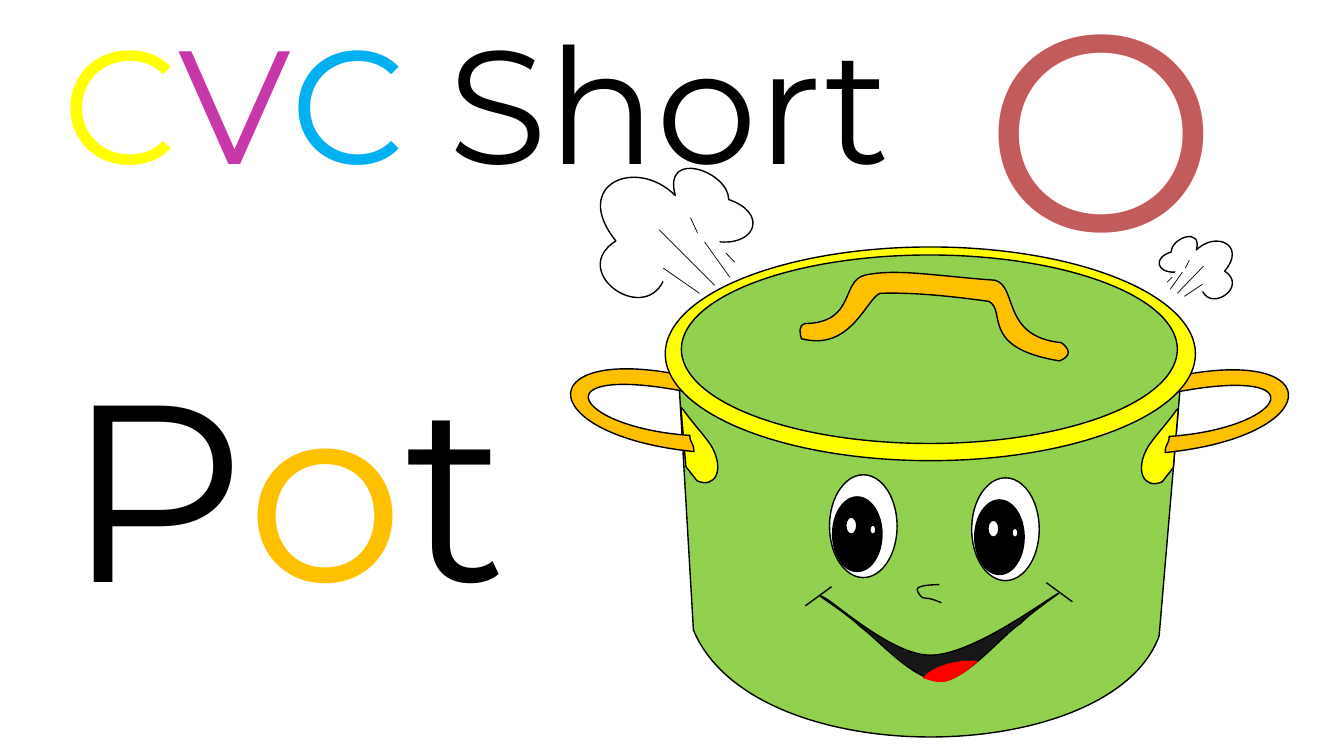
from lxml import etree
from pptx import Presentation
from pptx.dml.color import RGBColor
from pptx.enum import shapes as kinds, text as modes
from pptx.oxml.ns import qn
from pptx.util import Pt

THEME = {
    "white": "FFFFFF", "black": "000000", "green": "92D050", "yellow": "FFFF00",
    "gold": "FFC000", "purple": "C638A8", "blue": "00B0F0", "rose": "C25B5C",
    "mouth": "181717", "red": "FF0000",
    "font": "Montserrat", "title": 115, "word": 180, "vowel": 199,
}
UNIT = 0.72  # points per step of the drawing grid
OVAL = kinds.MSO_SHAPE.OVAL


def paint(shape, fill, line="black"):
    shape.shadow.inherit = False
    if fill:
        shape.fill.solid()
        shape.fill.fore_color.rgb = RGBColor.from_string(THEME[fill])
    else:
        shape.fill.background()
    if line:
        shape.line.color.rgb = RGBColor.from_string(THEME[line])
        shape.line.width = Pt(1)
    else:
        shape.line.fill.background()
    return shape


def draw(parts, fill, line="black"):
    """Pairs are corners; sixes are Bezier curves. Filled outlines close."""
    # Find the true extent of the outline
    dots = [parts[0]]
    for part in parts[1:]:
        ends = [dots[-1]] + [part[i:i + 2] for i in range(0, len(part), 2)]
        if len(part) == 6:
            for t in [step / 40 for step in range(1, 40)]:
                mix = ((1 - t) ** 3, 3 * t * (1 - t) ** 2, 3 * t * t * (1 - t), t ** 3)
                dots.append(tuple(sum(m * e[i] for m, e in zip(mix, ends)) for i in (0, 1)))
        dots.append(ends[-1])
    low, high = [[Pt(pick(axis) * UNIT) for axis in zip(*dots)] for pick in (min, max)]
    pen = pot.build_freeform(*low, scale=1.0)
    pen.add_line_segments([high], close=False)
    shape = pen.convert_to_shape()

    # Write the corners and curves into that frame
    track = next(shape._element.iter(qn("a:path")))
    for node in list(track):
        track.remove(node)
    for i, part in enumerate(parts):
        tag = "a:moveTo" if i == 0 else "a:lnTo" if len(part) == 2 else "a:cubicBezTo"
        move = etree.SubElement(track, qn(tag))
        for x, y in zip(part[::2], part[1::2]):
            etree.SubElement(move, qn("a:pt"), x=str(Pt(x * UNIT) - low[0]),
                             y=str(Pt(y * UNIT) - low[1]))
    if fill:
        etree.SubElement(track, qn("a:close"))
    return paint(shape, fill, line)


deck = Presentation()
deck.slide_width, deck.slide_height = Pt(960), Pt(540)
slide = deck.slides.add_slide(deck.slide_layouts[5])

# Backdrop
paint(slide.shapes.add_shape(kinds.MSO_SHAPE.RECTANGLE, 0, Pt(-0.7), Pt(960), Pt(540.7)),
      "white", "white")
pot = slide.shapes.add_group_shape().shapes

# Body
draw([(671, 334), (1175, 336), (1150, 631), (1102, 762, 748, 769, 688, 625),
      (671, 334)], "green")

# Side handles: the left one mirrors the right one
flap = [(1169, 405), (1164, 464), (1153, 478), (1135, 486, 1125, 467, 1139, 443),
        (1148, 430, 1158, 420, 1167, 407), (1169, 405)]
grip = [(1167, 389), (1169, 381, 1172, 382, 1174, 372),
        (1318, 345, 1314, 433, 1156, 449), (1156, 440, 1160, 441, 1160, 433),
        (1276, 425, 1309, 362, 1167, 389)]
for flip in (False, True):
    for parts, fill in ((flap, "yellow"), (grip, "gold")):
        if flip:
            parts = [tuple(v - 1 if i % 2 else 1844.5 - v for i, v in enumerate(part))
                     for part in parts]
        draw(parts, fill)

# Rim and lid
ovals = [(660, 245, 526, 212, "yellow"), (676, 253, 492, 187, "green")]
for *box, fill in ovals:
    paint(pot.add_shape(OVAL, *[Pt(v * UNIT) for v in box]), fill)

# Lid handle
draw([(799, 321), (849, 320, 834, 279, 858, 273), (889, 266, 930, 274, 987, 278),
      (1010, 284, 993, 334, 1053, 340), (1065, 349, 1059, 355, 1051, 358),
      (971, 345, 999, 308, 981, 299), (938, 293, 903, 290, 873, 291),
      (859, 297, 844, 349, 795, 336), (794, 331, 791, 323, 799, 321)], "gold")

# Steam: cloud outline, then thin rays and a white stroke that opens the cloud
left = [(611, 239), (566, 183, 631, 155, 670, 194), (657, 147, 723, 170, 723, 198),
        (761, 211, 751, 243, 714, 240), (658, 279), (637, 322, 564, 269, 611, 239)]
right = [(1215, 269), (1237, 243, 1206, 229, 1187, 248), (1193, 225, 1162, 236, 1162, 250),
         (1143, 256, 1148, 271, 1166, 270), (1193, 289), (1203, 309, 1238, 284, 1215, 269)]
steam = [
    (left, [(685, 216, 692, 231), (658, 279, 714, 240), (654, 228, 709, 283),
            (658, 266, 694, 291), (720, 251, 729, 260), (699, 240, 724, 275)]),
    (right, [(1180, 258, 1176, 266), (1193, 289, 1166, 270), (1194, 264, 1168, 291),
             (1193, 282, 1175, 294), (1163, 275, 1158, 280), (1173, 270, 1161, 287)]),
]
for cloud, rays in steam:
    draw(cloud, "white")
    for i, ends in enumerate(rays):
        ray = pot.add_connector(kinds.MSO_CONNECTOR.STRAIGHT, *[Pt(v * UNIT) for v in ends])
        ray.line.color.rgb = RGBColor.from_string(THEME["white" if i == 1 else "black"])
        ray.line.width = Pt(4.5 if i == 1 else 0.5)
        etree.SubElement(ray._element.spPr, qn("a:effectLst"))

# Smile, tongue and nose
draw([(825, 582), (799, 601), (799, 601)], None)
draw([(816, 592), (828, 597, 884, 650, 923, 650), (961, 650, 1024, 605, 1046, 591),
      (1064, 580, 1024, 606, 1013, 618), (993, 631, 960, 674, 934, 675),
      (907, 676, 873, 636, 854, 622), (836, 605, 805, 587, 816, 592)], "mouth")
tongue = draw([(951, 657), (957, 656, 962, 657, 967, 657), (971, 658), (960, 666),
               (952, 671, 944, 675, 937, 676), (934, 676, 930, 676, 926, 675),
               (915, 671), (917, 669), (925, 662, 937, 658, 951, 657)], "red", None)
tongue.rotation = 356.2
draw([(1038, 578), (1064, 597), (1064, 597)], None)
draw([(932, 580), (923, 580, 914, 581, 911, 583), (908, 584, 912, 590, 914, 592),
      (916, 594, 920, 593, 923, 594), (927, 595, 934, 598, 934, 598), (934, 598)], None)

# Eyes: the right one is shifted from the left
eye = [(823, 471, 67, 102, "white"), (826, 493, 49, 74, "black"),
       (839, 513, 11, 17, "white"), (863, 521, 6, 9, "white")]
for dx, dy in ((141, 3), (0, 0)):
    for x, y, w, h, fill in eye:
        box = (x + dx, y + dy, w, h)
        paint(pot.add_shape(OVAL, *[Pt(v * UNIT) for v in box]), fill)

# Word, title and vowel
word = slide.shapes.add_textbox(0, 0, 0, 0)
title = slide.shapes.title
slide.shapes._spTree.append(title._element)
vowel = slide.shapes.add_textbox(0, 0, 0, 0)
start, middle = modes.PP_ALIGN.LEFT, modes.PP_ALIGN.CENTER
labels = [
    (word, (39.6, 232.6, 398.9, 225.4), start, "word",
     [("P", "black"), ("o", "gold"), ("t", "black")]),
    (title, (0, -1.1, 680.4, 146.9), middle, "title",
     [("C", "yellow"), ("V", "purple"), ("C ", "blue"), ("Short", "black")]),
    (vowel, (696.2, -37.4, 198.7, 248.4), start, "vowel", [("O", "rose")]),
]
for shape, box, align, size, runs in labels:
    shape.left, shape.top, shape.width, shape.height = [Pt(v) for v in box]
    frame = shape.text_frame
    frame.word_wrap = True
    frame.auto_size = modes.MSO_AUTO_SIZE.SHAPE_TO_FIT_TEXT
    frame.vertical_anchor = modes.MSO_ANCHOR.TOP
    line = frame.paragraphs[0]
    line.alignment = align
    for words, tint in runs:
        run = line.add_run()
        run.text = words
        run.font.name = THEME["font"]
        run.font.size = Pt(THEME[size])
        run.font.color.rgb = RGBColor.from_string(THEME[tint])

deck.save("out.pptx")
